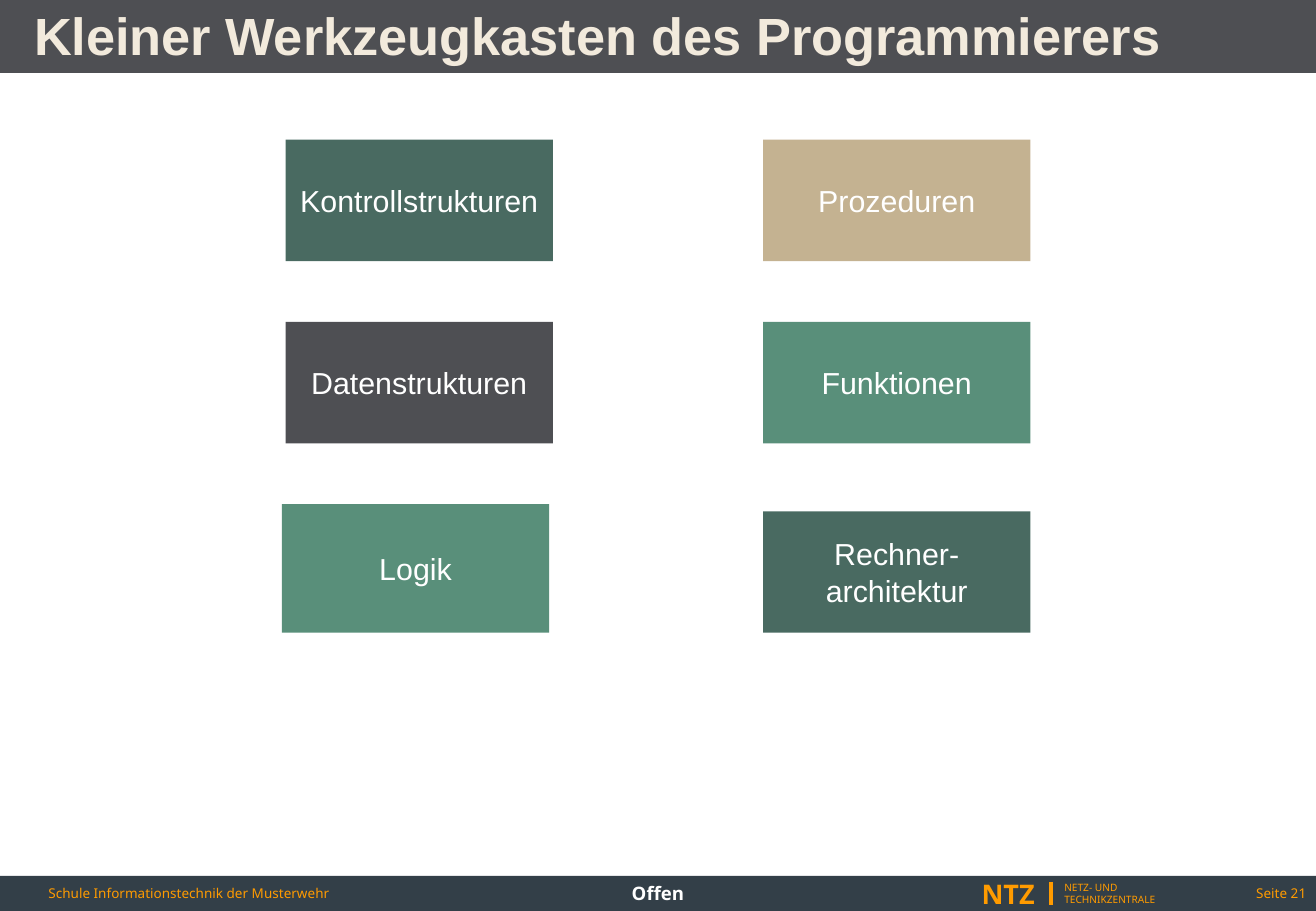
from pptx import Presentation
from pptx.dml.color import RGBColor
from pptx.enum.shapes import MSO_CONNECTOR, MSO_SHAPE
from pptx.enum.text import MSO_ANCHOR, MSO_AUTO_SIZE, PP_ALIGN
from pptx.oxml.ns import qn
from pptx.util import Inches, Pt
from lxml import etree

RECT = MSO_SHAPE.RECTANGLE
LINE = MSO_CONNECTOR.STRAIGHT
MIDDLE = MSO_ANCHOR.MIDDLE
FIXED = MSO_AUTO_SIZE.NONE
LEFT, CENTER, RIGHT = PP_ALIGN.LEFT, PP_ALIGN.CENTER, PP_ALIGN.RIGHT

WIDTH, HEIGHT = 10.83, 7.5
GRAY, NAVY, ORANGE, WHITE, CREAM = "4E4F53", "333F48", "FF9B00", "FFFFFF", "F2EADC"
PINE, SAND, SAGE = "496A61", "C4B291", "598F7A"

# Left and right column of tools, top to bottom
TOOLS = [
    [("Kontrollstrukturen", PINE), ("Prozeduren", SAND)],
    [("Datenstrukturen", GRAY), ("Funktionen", SAGE)],
    [("Logik", SAGE), ("Rechner-\narchitektur", PINE)],
]
# Small shifts of the last row: (row, column) -> (x, y, extra height)
SHIFTS = {(2, 0): (-0.03, 0, 0.06), (2, 1): (0, 0.06, 0)}


def color(value):
    return RGBColor.from_string(value)


def write(shape, text, size=18, font="Arial", ink=WHITE, bold=False,
          align=LEFT, inset=0.1, right=0.1):
    frame = shape.text_frame
    frame.text = text
    frame.word_wrap = True
    frame.auto_size = FIXED
    frame.vertical_anchor = MIDDLE
    frame.margin_left, frame.margin_right = Inches(inset), Inches(right)
    frame.margin_top = frame.margin_bottom = Inches(0.05)
    for para in frame.paragraphs:
        para.alignment = align
        face = para.font
        face.name, face.size, face.bold = font, Pt(size), bold
        face.color.rgb = color(ink)


def block(slide, box, fill):
    shape = slide.shapes.add_shape(RECT, *map(Inches, box))
    shape.shadow.inherit = False
    shape.fill.solid()
    shape.fill.fore_color.rgb = color(fill)
    shape.line.fill.background()
    return shape


def label(slide, box, text, **style):
    shape = slide.shapes.add_textbox(*map(Inches, box))
    write(shape, text, font="Noto Sans", **style)


def header(slide, box):
    left, top, width, height = box
    block(slide, box, GRAY)
    # Title, moved above the band
    title = slide.shapes.title
    title.left, title.top = Inches(left), Inches(top + 0.05)
    title.width, title.height = Inches(width - 0.42), Inches(0.47)
    write(title, "Kleiner Werkzeugkasten des Programmierers", size=31,
          ink=CREAM, bold=True, inset=0.28)
    tree = slide.shapes._spTree
    tree.remove(title._element)
    tree.append(title._element)


def tools(slide, box):
    left, top, width, height = box
    wide, high = 2.2, 1
    step_x = width - wide
    step_y = (height - high) / (len(TOOLS) - 1)
    for row, cells in enumerate(TOOLS):
        for col, (text, fill) in enumerate(cells):
            dx, dy, grow = SHIFTS.get((row, col), (0, 0, 0))
            place = (left + col * step_x + dx, top + row * step_y + dy,
                     wide, high + grow)
            write(block(slide, place, fill), text, align=CENTER)


def footer(slide, box):
    left, top, width, height = box
    block(slide, box, NAVY)
    # Texts: x, width, wording, format
    parts = [
        (0.3, 3.4, "Schule Informationstechnik der Musterwehr",
         dict(size=8, ink=ORANGE)),
        (3.7, 3.43, "Offen", dict(size=11, bold=True, align=CENTER)),
        (7.98, 0.67, "NTZ", dict(size=16, ink=ORANGE, bold=True)),
        (8.66, 1.28, "NETZ- UND\nTECHNIKZENTRALE", dict(size=6, ink=ORANGE)),
        (9.94, width - 9.94, "Seite 21",
         dict(size=8, ink=ORANGE, align=RIGHT, right=0.08)),
    ]
    for x, wide, text, style in parts:
        label(slide, (left + x, top, wide, height), text, **style)
    # Upright rule beside the unit name
    ends = (left + 8.65, top + 0.05, left + 8.65, top + 0.24)
    rule = slide.shapes.add_connector(LINE, *map(Inches, ends))
    rule.line.color.rgb = color(ORANGE)
    rule.line.width = Pt(2)
    etree.SubElement(rule._element.spPr, qn("a:effectLst"))


def main():
    deck = Presentation()
    deck.slide_width, deck.slide_height = Inches(WIDTH), Inches(HEIGHT)
    slide = deck.slides.add_slide(deck.slide_layouts[5])
    header(slide, (0, 0, WIDTH, 0.6))
    tools(slide, (2.35, 1.15, 6.13, 4))
    footer(slide, (0, HEIGHT - 0.29, WIDTH, 0.29))
    deck.save("out.pptx")


if __name__ == "__main__":
    main()
